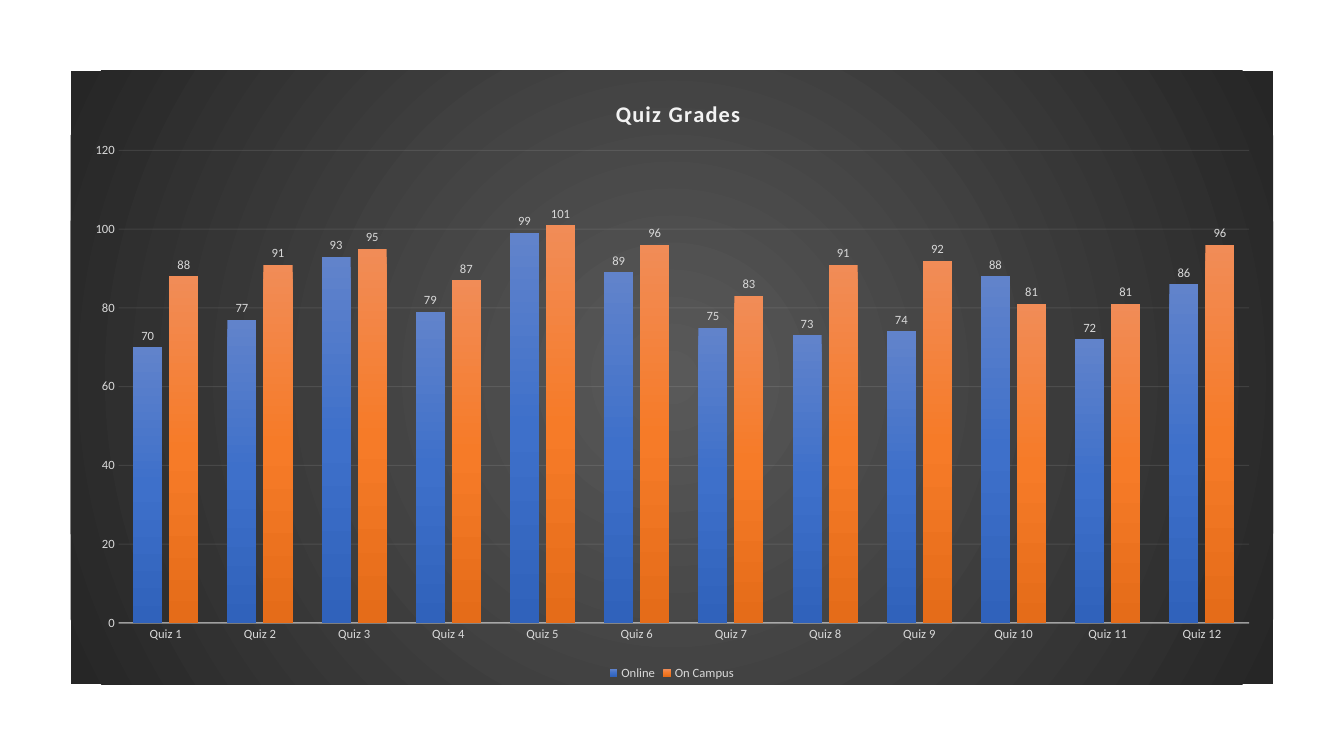
"""Build a slide with a column chart of quiz grades."""
from dataclasses import dataclass

from lxml import etree
from pptx import Presentation
from pptx.chart.chart import Chart
from pptx.chart.data import CategoryChartData
from pptx.dml.color import RGBColor
from pptx.enum.chart import (XL_CHART_TYPE, XL_LABEL_POSITION,
                             XL_LEGEND_POSITION, XL_TICK_MARK)
from pptx.oxml import parse_xml
from pptx.oxml.ns import nsdecls, qn
from pptx.text.text import Font
from pptx.util import Pt

COLUMN = XL_CHART_TYPE.COLUMN_CLUSTERED
OUTSIDE = XL_LABEL_POSITION.OUTSIDE_END
BOTTOM = XL_LEGEND_POSITION.BOTTOM
NO_TICK = XL_TICK_MARK.NONE

FACE = "Calibri"
COLORS = {"text": "D9D9D9", "light": "F2F2F2", "mid": "595959", "dark": "262626"}
RADIAL = ('<a:path path="circle"><a:fillToRect l="50000" t="50000" '
          'r="50000" b="50000"/></a:path>')
DOWN = '<a:lin ang="5400000" scaled="0"/>'


@dataclass(frozen=True)
class Group:
    name: str
    grades: tuple[int, ...]
    shades: tuple[str, ...]


GROUPS = (
    Group("Online", (70, 77, 93, 79, 99, 89, 75, 73, 74, 88, 72, 86),
          ("6183CB", "3E70CA", "3062BB")),
    Group("On Campus", (88, 91, 95, 87, 101, 96, 83, 91, 92, 81, 81, 96),
          ("F18C57", "F67B28", "E56C19")),
)


def style(font: Font, size: float = 9, color: str = "text", bold: bool = False) -> None:
    font.name, font.size, font.bold = FACE, Pt(size), bold
    font.color.rgb = RGBColor.from_string(COLORS[color])


def write(chart: Chart, text: str, *, size: float, color: str, bold: bool) -> None:
    run = chart.chart_title.text_frame.paragraphs[0].add_run()
    run.text = text
    style(run.font, size, color, bold)
    chart.element.xpath(".//c:title//a:rPr")[0].set("spc", "100")


def blend(shades: tuple[str, ...], tail: str) -> etree._Element:
    step = 100000 // (len(shades) - 1)
    stops = "".join(f'<a:gs pos="{i * step}"><a:srgbClr val="{shade}"/></a:gs>'
                    for i, shade in enumerate(shades))
    return parse_xml(f'<a:gradFill {nsdecls("a")} rotWithShape="1">'
                     f'<a:gsLst>{stops}</a:gsLst>{tail}</a:gradFill>')


def place(node: etree._Element, index: int, **edges: float) -> None:
    for old in node.findall(qn("c:layout")):
        node.remove(old)
    inner = '<c:layoutTarget val="inner"/>' if "w" in edges else ""
    sides = "".join(f'<c:{key} val="{val}"/>' for key, val in edges.items())
    node.insert(index, parse_xml(
        f'<c:layout {nsdecls("c")}><c:manualLayout>{inner}<c:xMode val="edge"/>'
        f'<c:yMode val="edge"/>{sides}</c:manualLayout></c:layout>'))


def rule(line, width: float) -> None:
    line.color.rgb = RGBColor.from_string(COLORS["light"])
    line.width = Pt(width)


def fade(chart: Chart, owner: str, share: int) -> None:
    color = chart.element.xpath(f".//c:{owner}/c:spPr//a:srgbClr")[0]
    etree.SubElement(color, qn("a:alpha")).set("val", str(share * 1000))


def set_axes(chart: Chart) -> None:
    cats, vals = chart.category_axis, chart.value_axis
    for axis in (cats, vals):
        axis.major_tick_mark = axis.minor_tick_mark = NO_TICK
        style(axis.tick_labels.font)
    cats.has_major_gridlines = False
    rule(cats.format.line, 1)
    fade(chart, "catAx", 54)
    vals.minimum_scale, vals.maximum_scale, vals.major_unit = 0, 120, 20
    vals.format.line.fill.background()
    vals.has_major_gridlines = True
    rule(vals.major_gridlines.format.line, 0.75)
    fade(chart, "majorGridlines", 10)


def set_bars(chart: Chart) -> None:
    plot = chart.plots[0]
    plot.gap_width, plot.overlap, plot.vary_by_categories = 100, -24, False
    nodes = chart.element.iter(qn("c:ser"))
    for bars, node, group in zip(plot.series, nodes, GROUPS):
        node.get_or_add_spPr().append(blend(group.shades, DOWN))
        labels = bars.data_labels
        labels.show_value, labels.position = True, OUTSIDE
        style(labels.font)


def set_frame(chart: Chart) -> None:
    root = chart.element
    area = parse_xml(f'<c:spPr {nsdecls("c", "a")}><a:ln><a:noFill/></a:ln></c:spPr>')
    area.insert(0, blend((COLORS["mid"], COLORS["dark"]), RADIAL))
    root.find(qn("c:chart")).addnext(area)
    chart.has_title = True
    write(chart, "Quiz Grades", size=16, color="light", bold=True)
    place(root.xpath(".//c:title")[0], 1, x=0.45, y=0.04)
    place(root.xpath(".//c:plotArea")[0], 0, x=0.04, y=0.13, w=0.94, h=0.77)
    chart.has_legend = True
    chart.legend.position = BOTTOM
    chart.legend.include_in_layout = False
    style(chart.legend.font)


def main() -> None:
    deck = Presentation()
    deck.slide_width, deck.slide_height = Pt(960), Pt(540)
    slide = deck.slides.add_slide(deck.slide_layouts[6])
    data = CategoryChartData()
    data.categories = [f"Quiz {n}" for n in range(1, 13)]
    for group in GROUPS:
        data.add_series(group.name, group.grades)
    chart = slide.shapes.add_chart(COLUMN, Pt(50.4), Pt(50.4), Pt(859), Pt(438.5),
                                   data).chart
    style(chart.font, 10)
    set_axes(chart)
    set_bars(chart)
    set_frame(chart)
    deck.save("out.pptx")


if __name__ == "__main__":
    main()
